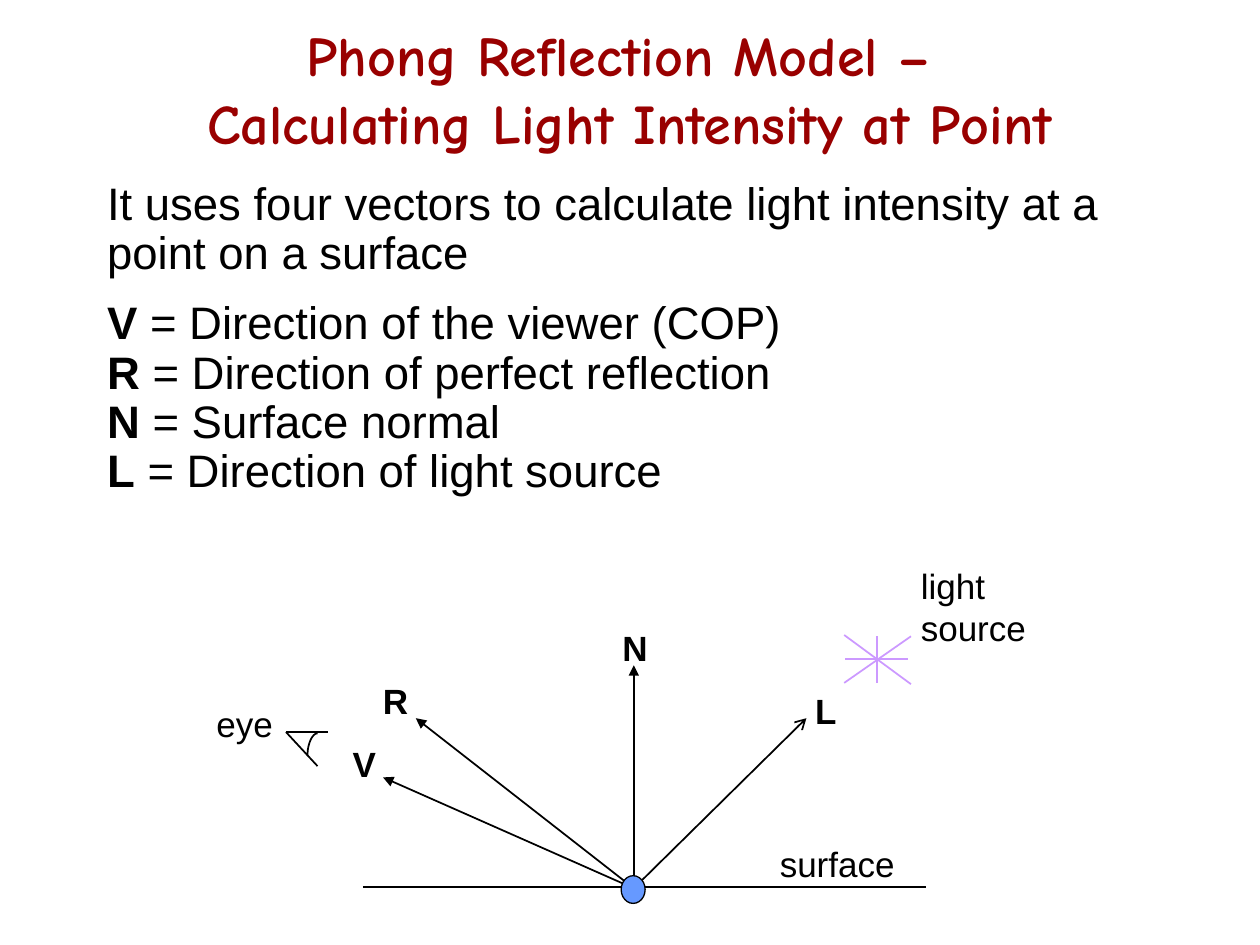
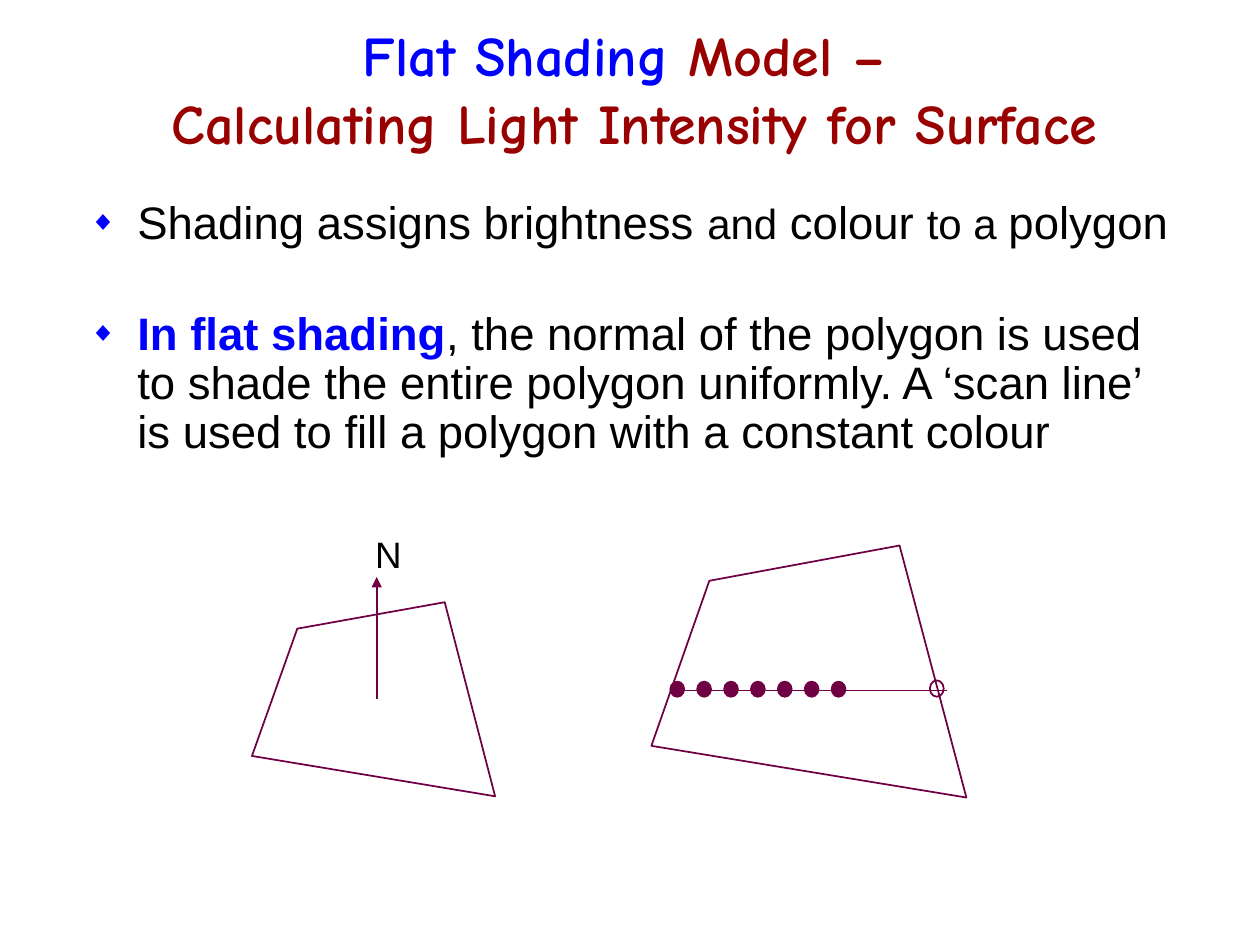
from lxml.etree import SubElement as Sub
from pptx import Presentation
from pptx.dml.color import RGBColor
from pptx.enum.shapes import MSO_CONNECTOR as Link, MSO_SHAPE as Kind
from pptx.enum.text import MSO_ANCHOR as Anchor, MSO_AUTO_SIZE as Fit, PP_ALIGN as Align
from pptx.oxml.ns import qn
from pptx.util import Inches, Pt

BLACK, RED, BLUE = "000000", "990000", "0000FF"
PLUM, LILAC, SKY = "6E0043", "CC99FF", "6699FF"
BODY, HEAD = "Arial", "Comic Neue"
BREAK = "\v"


def paint(form, code):
    form.rgb = RGBColor.from_string(code)


def style(run, size, code=BLACK, bold=False, face=BODY):
    font = run.font
    font.size, font.bold, font.name = Pt(size), bold, face
    paint(font.color, code)


def place(shape, box):
    shape.left, shape.top, shape.width, shape.height = map(Inches, box)


def add_runs(para, parts, size, face=BODY):
    for text, look in parts:
        if text == BREAK:
            para.add_line_break()
            continue
        run = para.add_run()
        run.text = text
        style(run, **{"size": size, "face": face, **look})


def add_title(slide, box, parts):
    title = slide.shapes.title
    place(title, box)
    frame = title.text_frame
    frame.auto_size, frame.vertical_anchor = Fit.NONE, Anchor.MIDDLE
    para = frame.paragraphs[0]
    para.alignment = Align.CENTER
    add_runs(para, parts, 32, HEAD)


def set_bullet(para, mark):
    props = para._p.get_or_add_pPr()
    inset = Inches(0.38) if mark else 0
    props.set("marL", str(inset))
    props.set("indent", str(-inset))
    if not mark:
        Sub(props, qn("a:buNone"))
        return
    Sub(Sub(props, qn("a:buClr")), qn("a:srgbClr"), val=BLUE)
    Sub(props, qn("a:buSzPct"), val="60000")
    Sub(props, qn("a:buChar"), char=mark)


def add_body(slide, box, rows, mark=None):
    body = slide.placeholders[1]
    place(body, box)
    frame = body.text_frame
    frame.auto_size = Fit.NONE
    for i, (gap, parts) in enumerate(rows):
        para = frame.add_paragraph() if i else frame.paragraphs[0]
        para.line_spacing, para.space_before = 0.9, Pt(gap)
        set_bullet(para, mark)
        add_runs(para, parts, 26)


def add_label(slide, box, text, size=20, bold=False):
    frame = slide.shapes.add_textbox(*map(Inches, box)).text_frame
    frame.word_wrap = True
    frame.text = text
    for para in frame.paragraphs:
        for run in para.runs:
            style(run, size, bold=bold)


def add_line(slide, start, end, code=BLACK, tip=None):
    line = slide.shapes.add_connector(Link.STRAIGHT, *map(Inches, start + end))
    line.line.width = Pt(1)
    paint(line.line.color, code)
    props = line.element.spPr
    if tip:
        Sub(props.find(qn("a:ln")), qn("a:tailEnd"), type=tip)
    Sub(props, qn("a:effectLst"))


def finish(shape, edge, fill=None, width=1):
    shape.shadow.inherit = False
    shape.line.width = Pt(width)
    paint(shape.line.color, edge)
    if fill:
        shape.fill.solid()
        paint(shape.fill.fore_color, fill)
    else:
        shape.fill.background()


def add_dot(slide, box, edge, fill=None, width=1):
    dot = slide.shapes.add_shape(Kind.OVAL, *map(Inches, box))
    finish(dot, edge, fill, width)


def add_path(slide, points, code, close=True):
    spots = [(Inches(x), Inches(y)) for x, y in points]
    pen = slide.shapes.build_freeform(*spots[0])
    pen.add_line_segments(spots[1:], close=close)
    finish(pen.convert_to_shape(), code)


def curve(a, b, c, d, steps=12):
    for i in range(steps + 1):
        t = i / steps
        u = 1 - t
        yield tuple(
            u**3 * p + 3 * u * u * t * q + 3 * u * t * t * r + t**3 * s
            for p, q, r, s in zip(a, b, c, d)
        )


def draw_eye(slide):
    for end in ((2.52, 6.08), (2.6, 5.81)):
        add_line(slide, (2.27, 5.81), end)
    arc = curve((2.44, 6), (2.44, 5.9), (2.48, 5.82), (2.52, 5.82))
    add_path(slide, arc, BLACK, close=False)
    add_label(slide, (1.62, 5.53, 0.77, 0.57), "eye")


def draw_light(slide):
    rays = (
        ((6.96, 5.05), (6.96, 5.42)),
        ((6.71, 5.23), (7.21, 5.23)),
        ((7.23, 5.05), (6.7, 5.42)),
        ((7.23, 5.43), (6.7, 5.04)),
    )
    for start, end in rays:
        add_line(slide, start, end, LILAC)
    add_label(slide, (7.21, 4.43, 1.17, 0.77), "light\nsource")


def phong(slide):
    red = {"code": RED, "bold": True}
    add_title(slide, (0.75, 0.25, 8.5, 0.9), [
        ("Phong Reflection Model – ", red),
        (BREAK, {}),
        ("Calculating Light Intensity at Point", red),
    ])
    terms = (
        ("V", "Direction of the viewer (COP)"),
        ("R", "Direction of perfect reflection"),
        ("N", "Surface normal"),
        ("L", "Direction of light source"),
    )
    intro = "It uses four vectors to calculate light intensity at a point on a surface"
    rows = [(4, [(intro, {})])]
    for i, (name, sense) in enumerate(terms):
        rows.append((0 if i else 12, [(name, {"bold": True}), (f" = {sense}", {})]))
    add_body(slide, (0.75, 1.39, 8.5, 5.41), rows)

    draw_light(slide)
    draw_eye(slide)
    add_line(slide, (2.88, 7.04), (7.35, 7.04))
    add_label(slide, (6.09, 6.64, 1.41, 0.43), "surface")
    point = (5.03, 7.05)
    arrows = (
        ("V", (3.04, 6.17), (2.7, 5.84), "triangle"),
        ("R", (3.3, 5.7), (2.94, 5.34), "triangle"),
        ("N", (5.03, 5.28), (4.84, 4.92), "triangle"),
        ("L", (6.4, 5.7), (6.37, 5.42), "arrow"),
    )
    for name, end, spot, tip in arrows:
        add_line(slide, point, end, tip=tip)
        add_label(slide, spot + (0.42, 0.43), name, bold=True)
    add_dot(slide, (4.93, 6.95, 0.19, 0.22), BLACK, SKY, 0.75)


def flat(slide):
    red, blue = ({"code": code, "bold": True} for code in (RED, BLUE))
    add_title(slide, (0.55, 0.25, 8.98, 0.9), [
        ("Flat Shading ", blue),
        ("Model – ", red),
        (BREAK, {}),
        ("Calculating Light Intensity for Surface", red),
    ])
    small = {"size": 24}
    add_body(slide, (0.61, 1.54, 8.78, 2.52), [
        (4, [
            ("Shading assigns brightness ", {}),
            ("and", small),
            (" colour ", {}),
            ("to a ", small),
            ("polygon", {}),
        ]),
        (35, [
            ("In flat shading", blue),
            (", the normal of the polygon is used to shade the entire polygon "
             "uniformly. A ‘scan line’ is used to fill a polygon with a "
             "constant colour", {}),
        ]),
    ], "◆")

    add_path(slide, [(2, 6), (2.36, 4.99), (3.53, 4.78), (3.93, 6.32)], PLUM)
    add_line(slide, (2.99, 5.55), (2.99, 4.58), PLUM, "triangle")
    add_label(slide, (2.88, 4.17, 0.44, 0.5), "N", 21)

    add_path(slide, [(5.17, 5.92), (5.63, 4.61), (7.14, 4.33), (7.67, 6.33)], PLUM)
    add_line(slide, (5.32, 5.48), (7.52, 5.48), PLUM)
    step = (6.6 - 5.32) / 6
    for i in range(7):
        add_dot(slide, (5.32 + i * step, 5.41, 0.11, 0.12), PLUM, PLUM)
    add_dot(slide, (7.38, 5.4, 0.11, 0.13), PLUM)


def main():
    deck = Presentation()
    deck.slide_width, deck.slide_height = Inches(10), Inches(7.5)
    for draw in (phong, flat):
        draw(deck.slides.add_slide(deck.slide_layouts[1]))
    deck.save("out.pptx")


if __name__ == "__main__":
    main()
